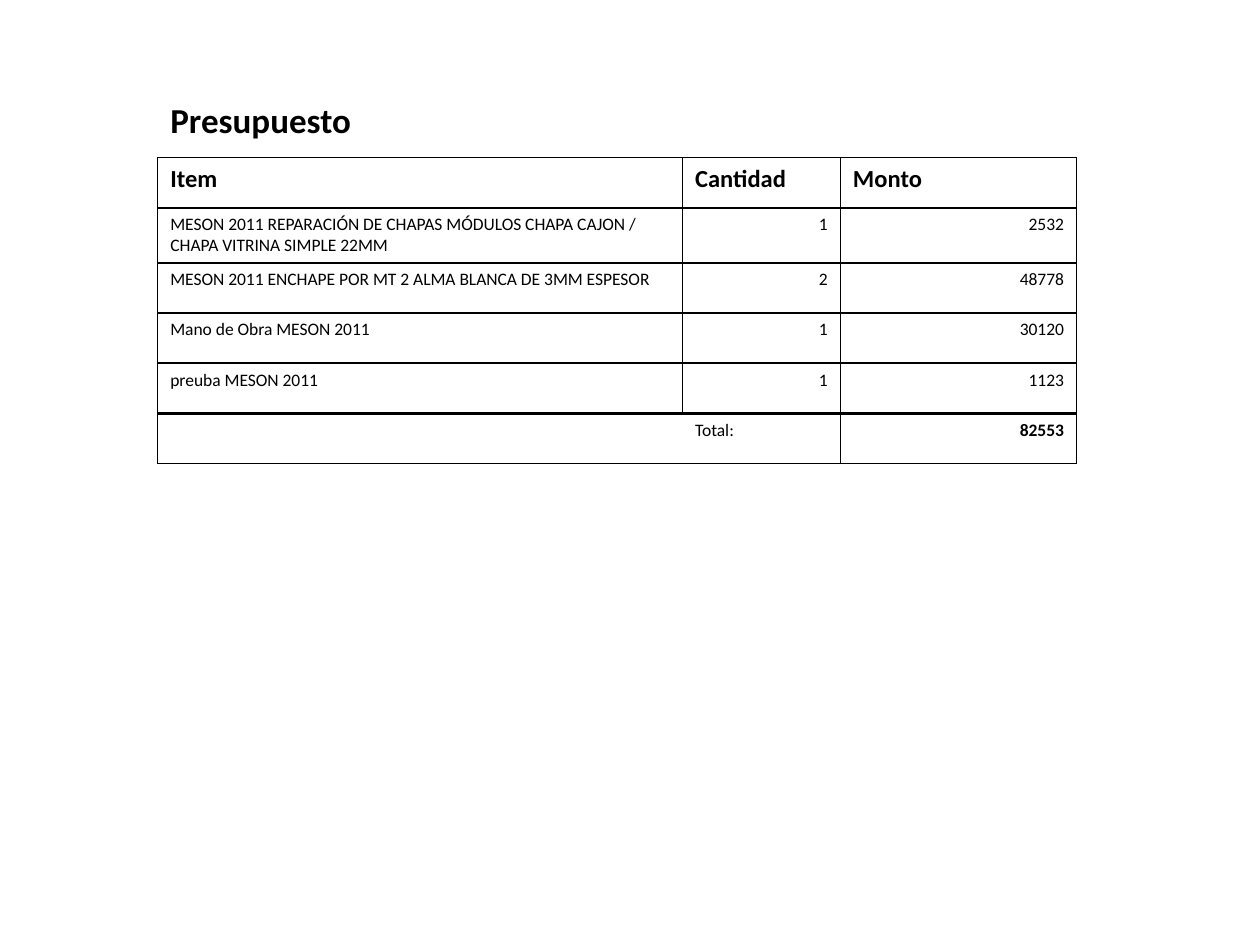
from lxml.etree import SubElement
from pptx import Presentation
from pptx.dml.color import RGBColor
from pptx.enum.text import MSO_ANCHOR, PP_ALIGN
from pptx.oxml.ns import qn
from pptx.util import Cm, Pt

BLACK = RGBColor(0x00, 0x00, 0x00)
WHITE = RGBColor(0xFF, 0xFF, 0xFF)
FONT = "Calibri"

HEADERS = ["Item", "Cantidad", "Monto"]
ITEMS = [
    ("MESON 2011 REPARACIÓN DE CHAPAS MÓDULOS CHAPA CAJON / CHAPA VITRINA SIMPLE 22MM", 1, 2532),
    ("MESON 2011 ENCHAPE POR MT 2 ALMA BLANCA DE 3MM ESPESOR", 2, 48778),
    ("Mano de Obra MESON 2011", 1, 30120),
    ("preuba MESON 2011", 1, 1123),
]
TOTAL = ["", "Total:", sum(monto for _, _, monto in ITEMS)]
COL_WIDTHS = [10.58, 3.18, 4.76]
ROW_HEIGHT = 1.01


def write(tf, text, size=10, bold=False, align=PP_ALIGN.LEFT):
    p = tf.paragraphs[0]
    p.alignment = align
    r = p.add_run()
    r.text = str(text)
    r.font.name = FONT
    r.font.size = Pt(size)
    r.font.bold = bold
    r.font.color.rgb = BLACK


def set_borders(cell, **widths):
    tcPr = cell._tc.get_or_add_tcPr()
    for side in "LRTB":
        width = widths.get(side, 1)
        ln = SubElement(tcPr, qn(f"a:ln{side}"), w=str(Pt(width)))
        if width:
            fill = SubElement(ln, qn("a:solidFill"))
            SubElement(fill, qn("a:srgbClr"), val=str(BLACK))
        else:
            SubElement(ln, qn("a:noFill"))


def add_title(slide, left, top, width, height):
    sp = slide.shapes.title
    sp.left, sp.top, sp.width, sp.height = left, top, width, height
    tf = sp.text_frame
    tf.word_wrap = True
    tf.vertical_anchor = MSO_ANCHOR.TOP
    write(tf, "Presupuesto", size=20, bold=True)


def add_budget(slide, left, top, width, height):
    rows = [HEADERS, *ITEMS, TOTAL]
    last = len(rows) - 1
    frame = slide.shapes.add_table(len(rows), len(HEADERS), left, top, width, height)
    table = frame.table
    for col, col_width in zip(table.columns, COL_WIDTHS):
        col.width = Cm(col_width)
    for i, row in enumerate(rows):
        table.rows[i].height = Cm(ROW_HEIGHT)
        for j, value in enumerate(row):
            cell = table.cell(i, j)
            borders = {"B": 2} if i == last - 1 else {}
            if i == last and j < 2:
                borders["R" if j == 0 else "L"] = 0
            set_borders(cell, **borders)
            cell.fill.solid()
            cell.fill.fore_color.rgb = WHITE
            write(
                cell.text_frame,
                value,
                size=14 if i == 0 else 10,
                bold=i == 0 or (i == last and j == 2),
                align=PP_ALIGN.RIGHT if isinstance(value, int) else PP_ALIGN.LEFT,
            )


def main():
    prs = Presentation()
    prs.slide_width, prs.slide_height = Cm(25.4), Cm(19.05)
    slide = prs.slides.add_slide(prs.slide_layouts[5])
    add_title(slide, Cm(3.18), Cm(1.85), Cm(15.88), Cm(7.92))
    add_budget(slide, Cm(3.18), Cm(3.18), Cm(sum(COL_WIDTHS)), Cm(6 * ROW_HEIGHT))
    prs.save("out.pptx")


if __name__ == "__main__":
    main()
